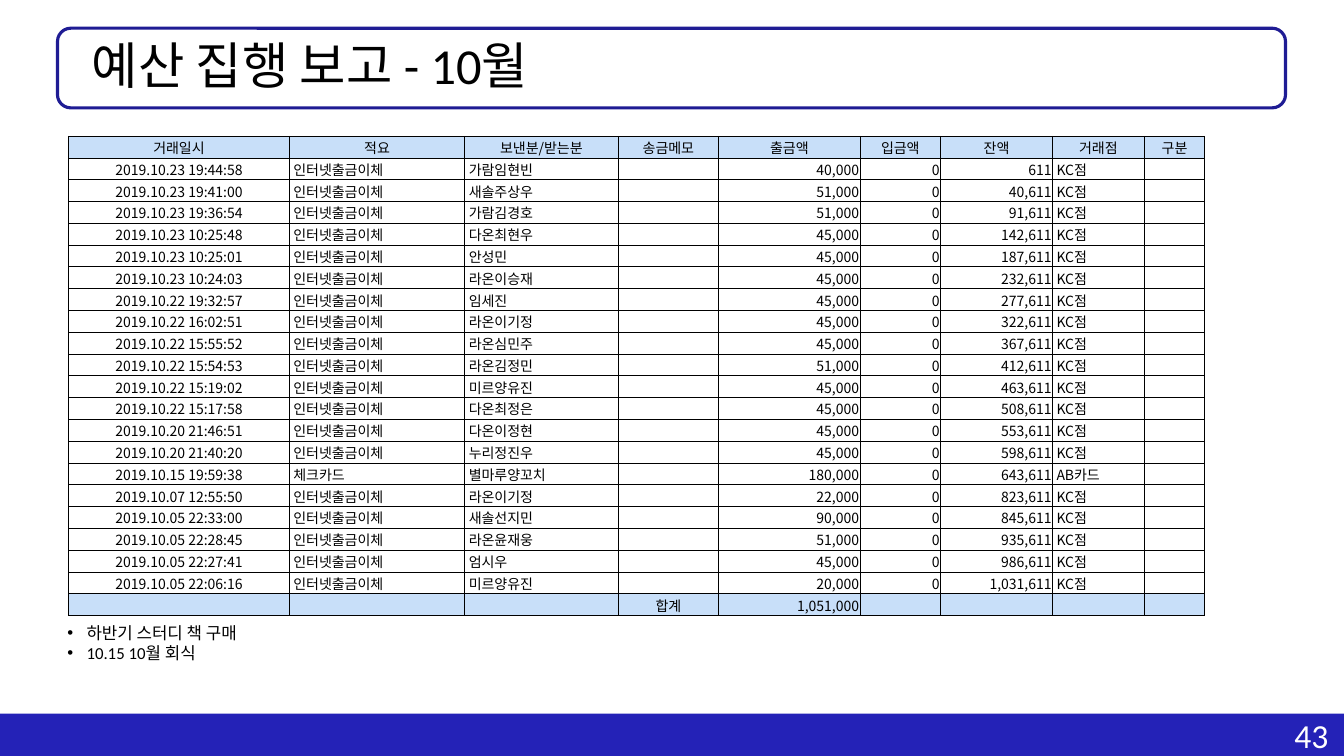
import pptx
import pptx.util
import pptx.dml.color
import pptx.enum.shapes
import pptx.enum.text
import pptx.oxml.ns
from lxml import etree

Inches = pptx.util.Inches
Pt = pptx.util.Pt
ALIGN = pptx.enum.text.PP_ALIGN
MIDDLE = pptx.enum.text.MSO_ANCHOR.MIDDLE
SHAPE = pptx.enum.shapes.MSO_SHAPE
qn = pptx.oxml.ns.qn

COLORS = {"band": "2422B7", "frame": "1F1C94", "header": "C8DFF9",
          "text": "000000", "white": "FFFFFF"}
TABLE_FONT = "Noto Sans CJK KR"

HEADINGS = ["거래일시", "적요", "보낸분/받는분", "송금메모", "출금액",
            "입금액", "잔액", "거래점", "구분"]
WIDTHS = [2.19, 1.74, 1.52, 1, 1.4, 0.8, 1.11, 0.91, 0.6]
ALIGNMENTS = [ALIGN.CENTER, ALIGN.LEFT, ALIGN.LEFT, ALIGN.CENTER, ALIGN.RIGHT,
              ALIGN.RIGHT, ALIGN.RIGHT, ALIGN.LEFT, ALIGN.CENTER]
TRANSFER = ("인터넷출금이체", "KC점")
CARD = ("체크카드", "AB카드")
LATEST_BALANCE = 611
WITHDRAWALS = [
    ("2019.10.23 19:44:58", "가람임현빈", 40000, TRANSFER),
    ("2019.10.23 19:41:00", "새솔주상우", 51000, TRANSFER),
    ("2019.10.23 19:36:54", "가람김경호", 51000, TRANSFER),
    ("2019.10.23 10:25:48", "다온최현우", 45000, TRANSFER),
    ("2019.10.23 10:25:01", "안성민", 45000, TRANSFER),
    ("2019.10.23 10:24:03", "라온이승재", 45000, TRANSFER),
    ("2019.10.22 19:32:57", "임세진", 45000, TRANSFER),
    ("2019.10.22 16:02:51", "라온이기정", 45000, TRANSFER),
    ("2019.10.22 15:55:52", "라온심민주", 45000, TRANSFER),
    ("2019.10.22 15:54:53", "라온김정민", 51000, TRANSFER),
    ("2019.10.22 15:19:02", "미르양유진", 45000, TRANSFER),
    ("2019.10.22 15:17:58", "다온최정은", 45000, TRANSFER),
    ("2019.10.20 21:46:51", "다온이정현", 45000, TRANSFER),
    ("2019.10.20 21:40:20", "누리정진우", 45000, TRANSFER),
    ("2019.10.15 19:59:38", "별마루양꼬치", 180000, CARD),
    ("2019.10.07 12:55:50", "라온이기정", 22000, TRANSFER),
    ("2019.10.05 22:33:00", "새솔선지민", 90000, TRANSFER),
    ("2019.10.05 22:28:45", "라온윤재웅", 51000, TRANSFER),
    ("2019.10.05 22:27:41", "엄시우", 45000, TRANSFER),
    ("2019.10.05 22:06:16", "미르양유진", 20000, TRANSFER),
]


def rgb(name):
    return pptx.dml.color.RGBColor.from_string(COLORS[name])


def write(frame, text, size, font="Calibri", color="text", align=ALIGN.LEFT,
          spacing=None, bullet=False):
    """Fill a text frame, one paragraph for each line of text."""
    for index, line in enumerate(text.split("\n")):
        paragraph = frame.paragraphs[0] if index == 0 else frame.add_paragraph()
        paragraph.alignment = align
        if spacing:
            paragraph.line_spacing = spacing
        if bullet:
            properties = paragraph._p.get_or_add_pPr()
            properties.set("marL", str(Inches(0.19)))
            properties.set("indent", str(-Inches(0.19)))
            bullet_font = etree.SubElement(properties, qn("a:buFont"))
            bullet_font.set("typeface", "Arial")
            etree.SubElement(properties, qn("a:buChar")).set("char", "•")
        if not line:
            # An empty cell still needs its text size to keep the row low.
            end = etree.SubElement(paragraph._p, qn("a:endParaRPr"))
            end.set("sz", str(size * 100))
            continue
        run = paragraph.add_run()
        run.text = line
        run.font.size = Pt(size)
        run.font.name = font
        run.font.color.rgb = rgb(color)
        if font == TABLE_FONT:
            east_asian = etree.SubElement(run.font._element, qn("a:ea"))
            east_asian.set("typeface", font)


def add_box(slide, preset, left, top, width, height, fill=None, line=None):
    box = slide.shapes.add_shape(preset, Inches(left), Inches(top),
                                 Inches(width), Inches(height))
    box.shadow.inherit = False
    if fill:
        box.fill.solid()
        box.fill.fore_color.rgb = rgb(fill)
    else:
        box.fill.background()
    if line:
        box.line.color.rgb = rgb(line)
        box.line.width = Pt(2.25)
    else:
        box.line.fill.background()


def add_text(slide, text, left, top, width, height, wrap=True, **text_format):
    frame = slide.shapes.add_textbox(Inches(left), Inches(top),
                                     Inches(width), Inches(height)).text_frame
    frame.word_wrap = wrap
    write(frame, text, **text_format)


def set_title(slide, text):
    title = slide.shapes.title
    title.left, title.top = Inches(0.81), Inches(0.28)
    title.width, title.height = Inches(11.5), Inches(0.8)
    title.text_frame.auto_size = pptx.enum.text.MSO_AUTO_SIZE.NONE
    title.text_frame.vertical_anchor = MIDDLE
    write(title.text_frame, text, size=36, spacing=0.9)


def add_borders(cell):
    properties = cell._tc.get_or_add_tcPr()
    for side in ("lnL", "lnR", "lnT", "lnB"):
        line = etree.SubElement(properties, qn("a:" + side))
        line.set("w", str(Pt(0.5)))
        fill = etree.SubElement(line, qn("a:solidFill"))
        etree.SubElement(fill, qn("a:srgbClr")).set("val", COLORS["text"])


def fill_cell(cell, text, align, shaded):
    cell.vertical_anchor = MIDDLE
    cell.margin_left = Inches(0.04 if align == ALIGN.LEFT else 0.01)
    cell.margin_right = cell.margin_top = Inches(0.01)
    cell.margin_bottom = 0
    add_borders(cell)
    if shaded:
        cell.fill.solid()
        cell.fill.fore_color.rgb = rgb("header")
    else:
        cell.fill.background()
    write(cell.text_frame, text, size=10, font=TABLE_FONT, align=align)


def ledger_rows():
    """Return headings, withdrawals with their running balance, and the total."""
    rows = [HEADINGS]
    balance = LATEST_BALANCE
    for when, party, amount, (kind, branch) in WITHDRAWALS:
        rows.append([when, kind, party, "", f"{amount:,}", "0",
                     f"{balance:,}", branch, ""])
        balance += amount
    total = balance - LATEST_BALANCE
    rows.append(["", "", "", "합계", f"{total:,}", "", "", "", ""])
    return rows


def add_ledger(slide):
    rows = ledger_rows()
    ledger = slide.shapes.add_table(len(rows), len(WIDTHS), Inches(0.68), Inches(1.35),
                                    Inches(sum(WIDTHS)), Inches(4.76)).table
    for column, width in zip(ledger.columns, WIDTHS):
        column.width = Inches(width)
    last = len(rows) - 1
    for r, row in enumerate(rows):
        for c, text in enumerate(row):
            align = ALIGN.CENTER if r == 0 else ALIGNMENTS[c]
            fill_cell(ledger.cell(r, c), text, align, shaded=r in (0, last))


def main():
    presentation = pptx.Presentation()
    presentation.slide_width = Inches(13.33)
    presentation.slide_height = Inches(7.5)
    slide = presentation.slides.add_slide(presentation.slide_layouts[5])

    add_box(slide, SHAPE.RECTANGLE, 0, 7.08, 13.33, 0.42, fill="band")
    add_text(slide, "43", 12.74, 7.04, 0.6, 0.5, wrap=False, size=24, color="white")
    add_box(slide, SHAPE.ROUNDED_RECTANGLE, 0.57, 0.28, 12.18, 0.79, line="frame")
    set_title(slide, "예산 집행 보고 - 10월")
    add_text(slide, "하반기 스터디 책 구매\n10.15 10월 회식",
             0.57, 6.13, 5.74, 0.5, size=12, bullet=True)
    add_ledger(slide)
    presentation.save("out.pptx")


if __name__ == "__main__":
    main()
